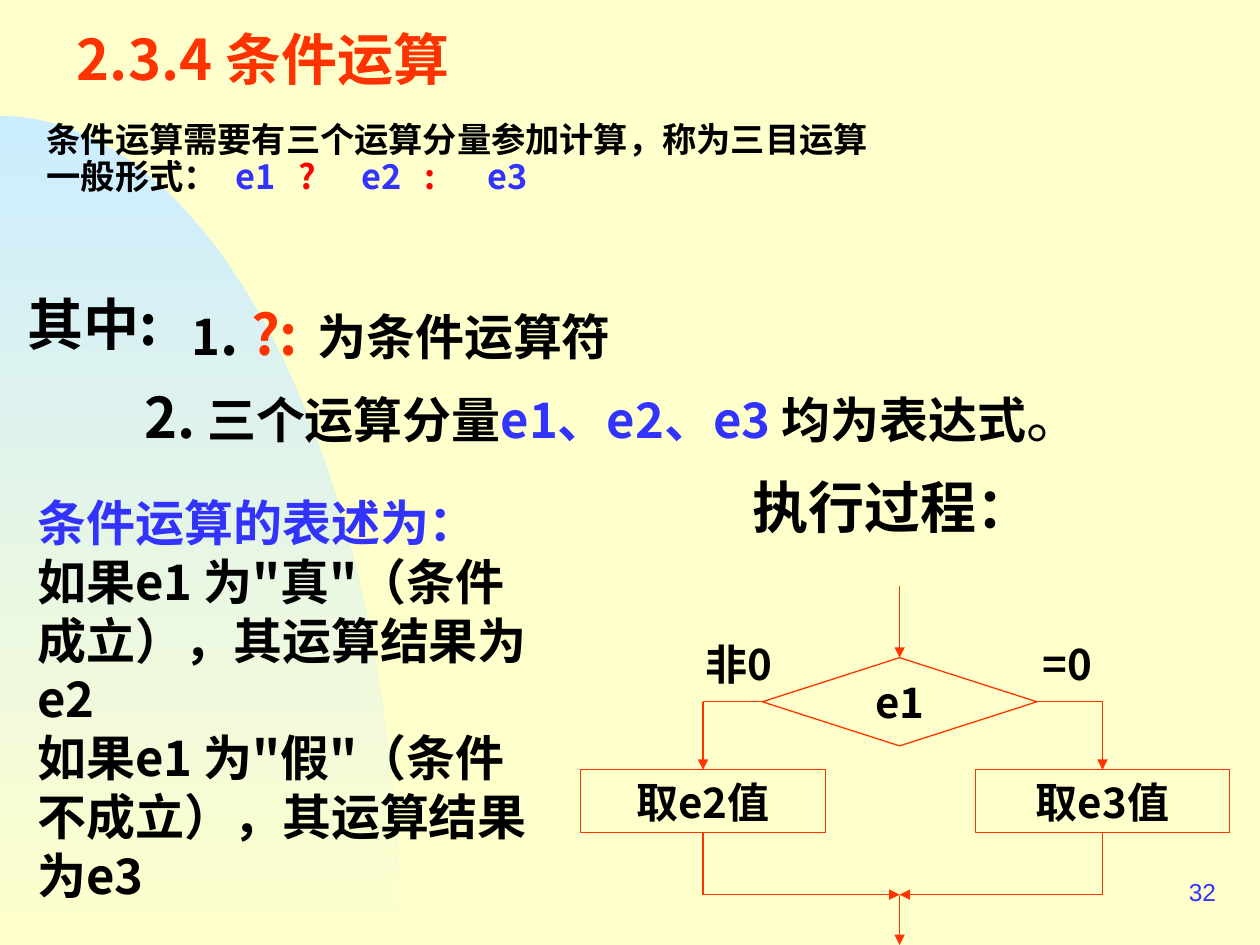
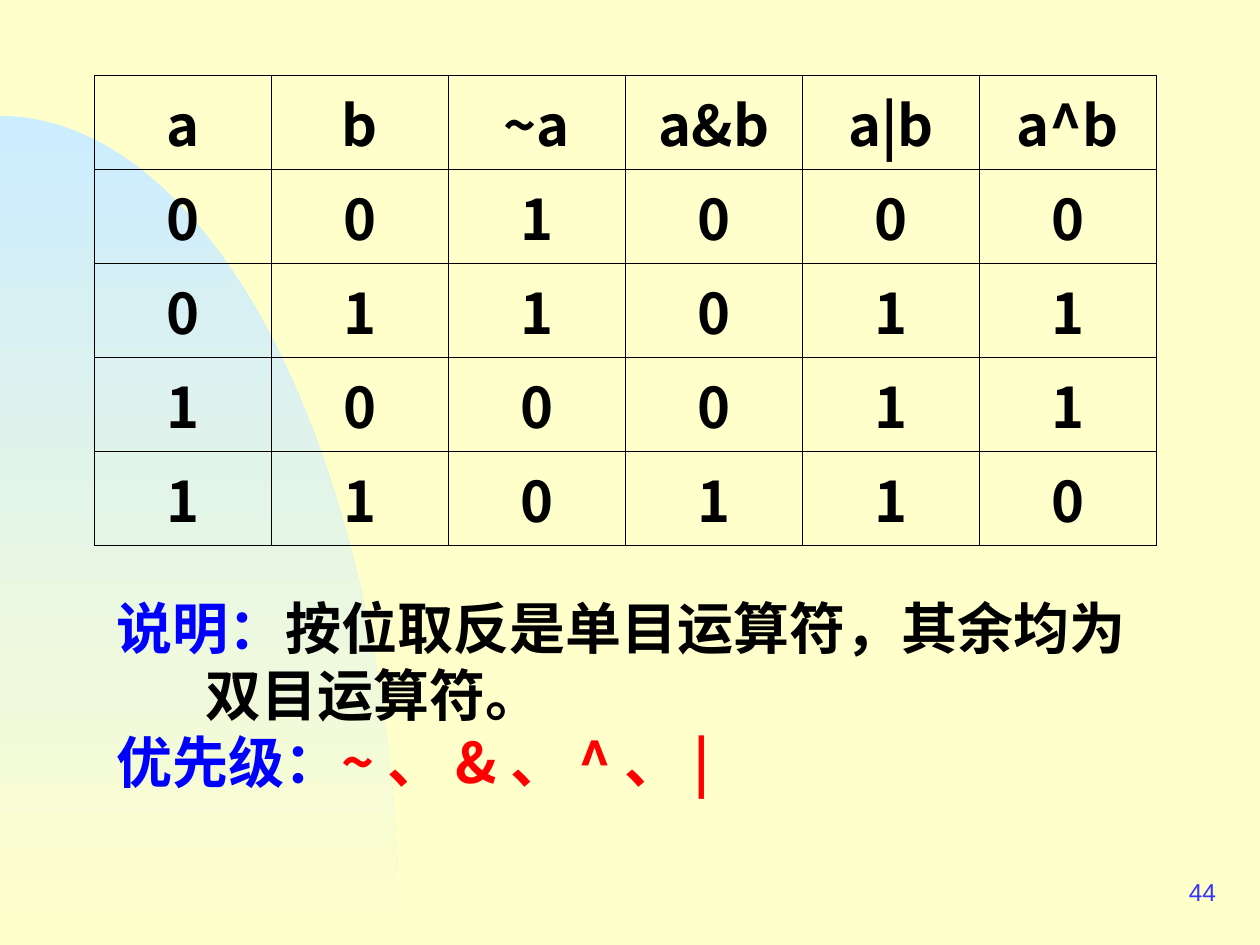
from dataclasses import dataclass
from math import cos, pi, sin
from typing import NamedTuple, Optional

from lxml.etree import SubElement
from pptx import Presentation
from pptx.dml.color import RGBColor
from pptx.enum.shapes import MSO_CONNECTOR, MSO_SHAPE
from pptx.enum.text import MSO_ANCHOR, MSO_AUTO_SIZE, PP_ALIGN
from pptx.oxml.ns import qn
from pptx.util import Inches, Pt

SLIDE_WIDTH, SLIDE_HEIGHT = Inches(10), Inches(7.5)
COLUMN, ROW = SLIDE_WIDTH / 100, SLIDE_HEIGHT / 75
FONT = "Noto Sans CJK SC"
CREAM, SKY = "FFFFCC", "CCECFF"
INK, ORANGE, RED, VIOLET, BLUE = "010000", "FF3300", "FF0000", "3333FF", "0000FF"
TOP, LEFT, BOTTOM, RIGHT = range(4)


class Area(NamedTuple):
    column: float
    row: float
    columns: float
    rows: float


class Span(NamedTuple):
    text: str
    size: float = 28
    color: str = INK
    bold: bool = True
    font: str = FONT


@dataclass
class Line:
    spans: list[Span]
    align: PP_ALIGN = PP_ALIGN.LEFT
    spacing: Optional[float] = None
    before: float = 0
    hanging: float = 0
    tabs: tuple[float, ...] = ()


@dataclass
class Block:
    area: Area
    lines: list[Line]
    wrap: bool = True
    anchor: MSO_ANCHOR = MSO_ANCHOR.TOP


class End(NamedTuple):
    column: float = 0
    row: float = 0
    shape: object = None
    side: int = TOP


def rgb(code: str) -> RGBColor:
    return RGBColor.from_string(code)


def across(columns: float) -> int:
    return round(columns * COLUMN)


def down(rows: float) -> int:
    return round(rows * ROW)


def bounds(area: Area) -> tuple[int, int, int, int]:
    return across(area.column), down(area.row), across(area.columns), down(area.rows)


def write_span(para, span: Span) -> None:
    for index, text in enumerate(span.text.split("\n")):
        if index:
            para.add_line_break()
        run = para.add_run()
        run.text = text
        font = run.font
        font.size, font.bold, font.name = Pt(span.size), span.bold, span.font
        font.color.rgb = rgb(span.color)
        SubElement(run._r.get_or_add_rPr(), qn("a:ea"), typeface=span.font)


def write_lines(frame, lines: list[Line]) -> None:
    for index, line in enumerate(lines):
        para = frame.add_paragraph() if index else frame.paragraphs[0]
        para.alignment = line.align
        para.space_before = Pt(line.before)
        if line.spacing:
            para.line_spacing = Pt(line.spacing)
        properties = para._p.get_or_add_pPr()
        properties.set("marL", str(across(line.hanging)))
        properties.set("indent", str(-across(line.hanging)))
        SubElement(properties, qn("a:buNone"))
        if line.tabs:
            stops = SubElement(properties, qn("a:tabLst"))
            for stop in line.tabs:
                SubElement(stops, qn("a:tab"), pos=str(across(stop)), algn="l")
        for span in line.spans:
            write_span(para, span)


def fill_block(shape, block: Block) -> None:
    shape.left, shape.top, shape.width, shape.height = bounds(block.area)
    frame = shape.text_frame
    frame.auto_size = MSO_AUTO_SIZE.NONE
    frame.word_wrap = block.wrap
    frame.vertical_anchor = block.anchor
    write_lines(frame, block.lines)


def add_block(page, block: Block) -> None:
    fill_block(page.shapes.add_textbox(*bounds(block.area)), block)


def centred(area: Area, text: str) -> Block:
    return Block(area, [Line([Span(text, 24)], PP_ALIGN.CENTER)], False, MSO_ANCHOR.MIDDLE)


def add_node(page, kind: MSO_SHAPE, area: Area, text: str):
    node = page.shapes.add_shape(kind, *bounds(area))
    node.shadow.inherit = False
    node.fill.background()
    node.line.color.rgb = rgb(ORANGE)
    node.line.width = Pt(0.75)
    fill_block(node, centred(area, text))
    return node


def add_link(page, start: End, finish: End, arrow: bool = False) -> None:
    link = page.shapes.add_connector(
        MSO_CONNECTOR.STRAIGHT,
        across(start.column), down(start.row), across(finish.column), down(finish.row),
    )
    if start.shape is not None:
        link.begin_connect(start.shape, start.side)
    if finish.shape is not None:
        link.end_connect(finish.shape, finish.side)
    link.line.color.rgb = rgb(ORANGE)
    link.line.width = Pt(0.75)
    if arrow:
        SubElement(link.line._get_or_add_ln(), qn("a:tailEnd"), type="triangle")
    SubElement(link._element.spPr, qn("a:effectLst"))


def add_backdrop(deck, page) -> None:
    master = deck.slide_master
    background = master.background.fill
    background.solid()
    background.fore_color.rgb = rgb(CREAM)
    radius_x, radius_y, steps = across(31.7), down(65.8), 90
    angles = [pi / 2 * step / steps for step in range(steps + 1)]
    rim = [
        (round(radius_x * sin(angle)), round(SLIDE_HEIGHT - radius_y * cos(angle)))
        for angle in angles
    ]
    builder = page.shapes.build_freeform(*rim[0])
    builder.add_line_segments(rim[1:] + [(0, SLIDE_HEIGHT)], close=True)
    arc = builder.convert_to_shape()
    arc.shadow.inherit = False
    arc.line.fill.background()
    arc.fill.gradient()
    arc.fill.gradient_angle = 270
    for stop, code in zip(arc.fill.gradient_stops, (SKY, CREAM)):
        stop.color.rgb = rgb(code)
    arc._element.nvSpPr.cNvPr.set("id", "20")
    master.shapes._spTree.insert(2, arc._element)


def add_page_number(page, number: str) -> None:
    span = Span(number, 14, VIOLET, False, "Arial")
    add_block(page, Block(Area(76.7, 68.3, 20.8, 5), [Line([span], PP_ALIGN.RIGHT)],
                          anchor=MSO_ANCHOR.MIDDLE))


def add_flow(page) -> None:
    middle, left, right, merge = 71.4, 55.8, 87.5, 71
    test = add_node(page, MSO_SHAPE.FLOWCHART_DECISION, Area(middle - 10.9, 52.2, 21.8, 7), "e1")
    add_link(page, End(middle, 46.5), End(shape=test, side=TOP), True)
    branches = (
        (left, 19.4, "取e2值", LEFT, centred(Area(54.6, 50.2, 8.1, 5), "非0")),
        (right, 20.2, "取e3值", RIGHT, centred(Area(81.7, 50.2, 6, 5), "=0")),
    )
    for axis, width, text, side, label in branches:
        result = add_node(page, MSO_SHAPE.RECTANGLE, Area(axis - width / 2, 61.1, width, 5), text)
        corner = End(axis, 55.7)
        add_link(page, End(shape=test, side=side), corner)
        add_link(page, corner, End(shape=result, side=TOP), True)
        add_link(page, End(shape=result, side=BOTTOM), End(axis, merge))
        add_link(page, End(axis, merge), End(middle, merge), True)
        add_block(page, label)
    add_link(page, End(middle, merge), End(middle, 75), True)


def conditional_page(page) -> None:
    fill_block(page.shapes.title, Block(
        Area(5.1, 0, 88.2, 9.2), [Line([Span("2.3.4 条件运算", 32, ORANGE)])],
        anchor=MSO_ANCHOR.MIDDLE))
    form = (("一般形式：", INK), ("\te1", VIOLET), ("\t?", RED),
            ("\te2", VIOLET), ("\t:", RED), ("\te3", VIOLET))
    fill_block(page.placeholders[1], Block(Area(2.7, 10.2, 97.3, 11.8), [
        Line([Span("条件运算需要有三个运算分量参加计算，称为三目运算", 19.6)], spacing=14.1, before=7),
        Line([Span(text, 19.6, color) for text, color in form],
             spacing=14.1, before=7, tabs=(14.9, 19.3, 21.9, 26.3, 28.5)),
    ]))
    add_flow(page)
    outcomes = ('如果e1 为"真"（条件成立），其运算结果为e2',
                '如果e1 为"假"（条件不成立），其运算结果为e3')
    blocks = (
        Block(Area(58.7, 37, 24.2, 6.4), [Line([Span("执行过程：", 32)], spacing=38.4)]),
        Block(Area(10.5, 29.9, 88.8, 6.4), [Line([
            Span("2.", 32), Span(" 三个运算分量"), Span("e1、e2、e3 ", color=VIOLET),
            Span("均为表达式"), Span("。", 32, bold=False)], spacing=38.4)]),
        Block(Area(14.2, 23.3, 44.8, 6.4), [Line([
            Span("1"), Span(".", 32), Span(" ?:", 32, ORANGE), Span("\t为条件运算符")],
            spacing=38.4, tabs=(11.6,))]),
        Block(Area(1.2, 22.5, 14.6, 6.4), [Line([Span("其中:", 32)], spacing=38.4)]),
        Block(Area(2, 38.6, 41.7, 34), [
            Line([Span("条件运算的表述为：", color=VIOLET)], spacing=33.6),
            *(Line([Span(text)], spacing=33.6) for text in outcomes)]),
    )
    for block in blocks:
        add_block(page, block)


def add_truth_table(page) -> None:
    bits = [(a, b) for a in (0, 1) for b in (0, 1)]
    rows = [("a", "b", "~a", "a&b", "a|b", "a^b")]
    rows += [(a, b, 1 - a, a & b, a | b, a ^ b) for a, b in bits]
    area = Area(7.5, 6, 84.3, 37.3)
    table = page.shapes.add_table(len(rows), len(rows[0]), *bounds(area)).table
    table.first_row = table.horz_banding = False
    for column in table.columns:
        column.width = across(area.columns / len(rows[0]))
    for row, values in zip(table.rows, rows):
        row.height = down(area.rows / len(rows))
        for cell, value in zip(row.cells, values):
            write_lines(cell.text_frame, [Line([Span(str(value), 32)], PP_ALIGN.CENTER)])
            properties = cell._tc.get_or_add_tcPr()
            for edge in ("a:lnL", "a:lnR", "a:lnT", "a:lnB"):
                border = SubElement(properties, qn(edge), w=str(Pt(0.45)))
                paint = SubElement(border, qn("a:solidFill"))
                SubElement(paint, qn("a:srgbClr"), val="000000")
            cell.fill.background()


def bitwise_page(page) -> None:
    add_truth_table(page)
    add_block(page, Block(Area(8.3, 46.6, 85.8, 17), [
        Line([Span("说明：", 32, BLUE), Span("按位取反是单目运算符，其余均为\n双目运算符。", 32)],
             spacing=38.4, hanging=7),
        Line([Span("优先级：", 32, BLUE), Span("~ 、 & 、 ^ 、 |", 32, RED)], spacing=38.4),
    ]))


def main() -> None:
    deck = Presentation()
    deck.slide_width, deck.slide_height = SLIDE_WIDTH, SLIDE_HEIGHT
    pages = ((1, "32", conditional_page), (6, "44", bitwise_page))
    for index, (layout, number, draw) in enumerate(pages):
        page = deck.slides.add_slide(deck.slide_layouts[layout])
        if index == 0:
            add_backdrop(deck, page)
        add_page_number(page, number)
        draw(page)
    deck.save("out.pptx")


if __name__ == "__main__":
    main()
